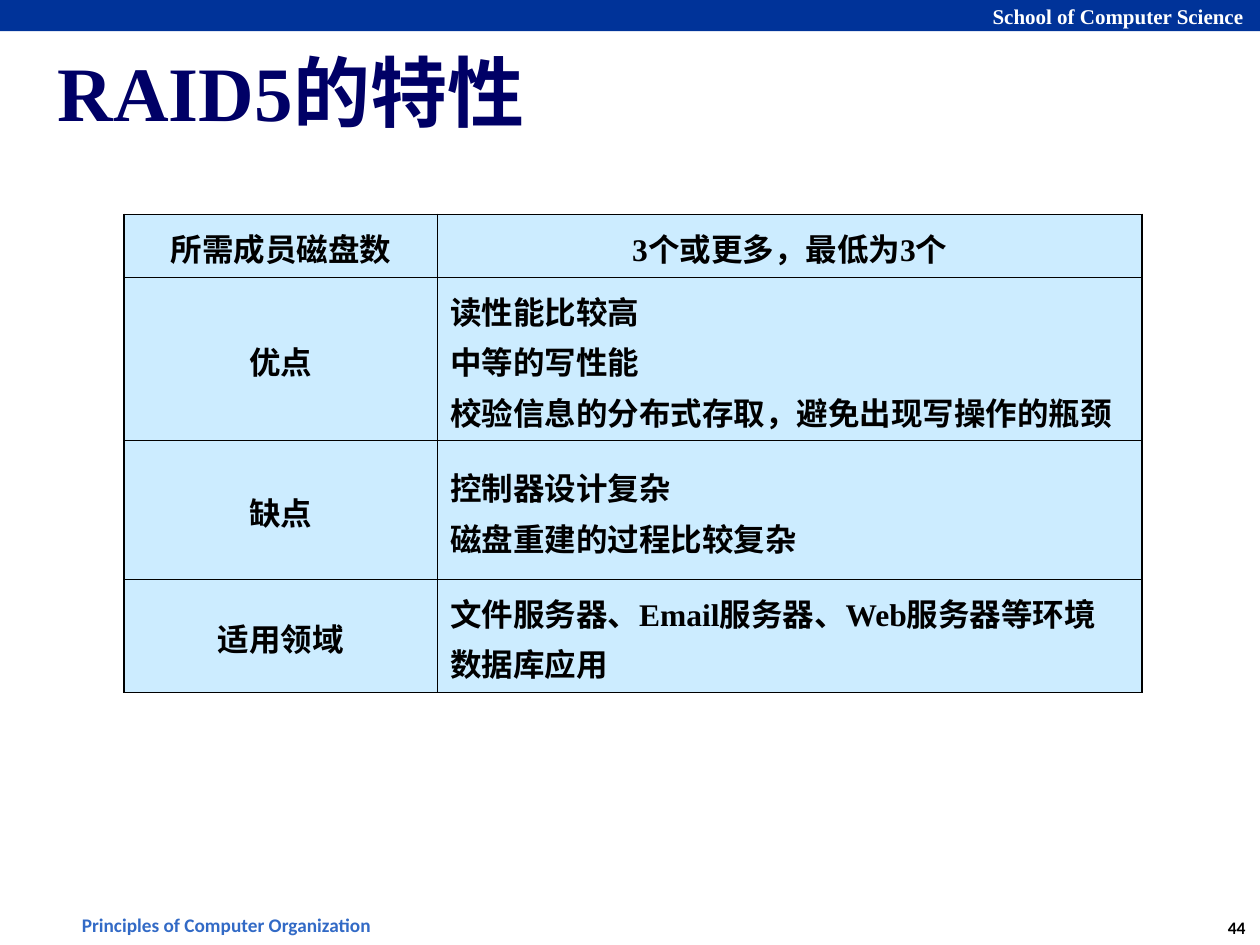
from lxml.etree import SubElement
from pptx import Presentation
from pptx.dml.color import RGBColor
from pptx.enum.shapes import MSO_SHAPE
from pptx.enum.text import MSO_ANCHOR as Anchor, MSO_AUTO_SIZE as AutoSize, PP_ALIGN as Align
from pptx.oxml.ns import qn
from pptx.util import Cm, Pt

BLACK = RGBColor(0x00, 0x00, 0x00)
WHITE = RGBColor(0xFF, 0xFF, 0xFF)
NAVY = RGBColor(0x00, 0x00, 0x66)
BAND_BLUE = RGBColor(0x00, 0x33, 0x99)
FOOTER_BLUE = RGBColor(0x32, 0x6A, 0xC6)
CELL_BLUE = RGBColor(0xCC, 0xEC, 0xFF)
SERIF, SANS = "Times New Roman", "Calibri"

COLUMN_WIDTHS = [6.32, 14.2]
ROW_HEIGHTS = [1.27, 3.29, 2.8, 2.28]
FEATURES = [
    ("所需成员磁盘数", ["3个或更多，最低为3个"]),
    ("优点", ["读性能比较高", "中等的写性能", "校验信息的分布式存取，避免出现写操作的瓶颈"]),
    ("缺点", ["控制器设计复杂", "磁盘重建的过程比较复杂"]),
    ("适用领域", ["文件服务器、Email服务器、Web服务器等环境", "数据库应用"]),
]


def style(paragraph, face, size, color, align=Align.LEFT):
    """Set the bold font and the alignment of a paragraph."""
    paragraph.alignment = align
    font = paragraph.font
    font.name, font.size, font.bold = face, Pt(size), True
    font.color.rgb = color


def add_label(slide, box, text, face, size, color, align=Align.LEFT):
    """Place one unwrapped line of text in a box given in centimetres."""
    frame = slide.shapes.add_textbox(*map(Cm, box)).text_frame
    frame.word_wrap = False
    frame.text = text
    style(frame.paragraphs[0], face, size, color, align)


def add_header(slide, left, top, width, height):
    """Draw the band with the school's name at its right end."""
    band = slide.shapes.add_shape(MSO_SHAPE.RECTANGLE, *map(Cm, (left, top, width, height)))
    band.shadow.inherit = False
    band.fill.solid()
    band.fill.fore_color.rgb = BAND_BLUE
    band.line.fill.background()
    add_label(slide, (left + width - 5.64, top - 0.06, 5.6, 0.76),
              "School of Computer Science", SERIF, 12, WHITE)


def add_footer(slide, left, top, width, height):
    """Place the course name on the left and the page number on the right."""
    add_label(slide, (left, top, 6.5, height),
              "Principles of Computer Organization", SANS, 11, FOOTER_BLUE)
    add_label(slide, (left + width - 0.94, top + 0.08, 0.94, height - 0.08),
              "44", SANS, 10, BLACK, Align.CENTER)


def set_title(slide, left, top, width, height):
    """Move the title placeholder and fill it."""
    title = slide.shapes.title
    title.left, title.top, title.width, title.height = map(Cm, (left, top, width, height))
    frame = title.text_frame
    frame.text = "RAID5的特性"
    frame.auto_size = AutoSize.NONE
    frame.vertical_anchor = Anchor.MIDDLE
    frame.margin_left = frame.margin_right = Cm(0.1)
    frame.margin_top = frame.margin_bottom = Cm(0.1)
    style(frame.paragraphs[0], SERIF, 44, NAVY)


def add_borders(cell):
    """Draw a thin black line on each side of a cell."""
    properties = cell._tc.get_or_add_tcPr()
    for position, side in enumerate(("a:lnL", "a:lnR", "a:lnT", "a:lnB")):
        line = SubElement(properties, qn(side), w=str(Pt(1)))
        fill = SubElement(line, qn("a:solidFill"))
        SubElement(fill, qn("a:srgbClr"), val=str(BLACK))
        properties.insert(position, line)


def fill_cell(cell, lines, align):
    """Write the lines of a cell and format it."""
    cell.fill.solid()
    cell.fill.fore_color.rgb = CELL_BLUE
    cell.vertical_anchor = Anchor.MIDDLE
    cell.text = "\n".join(lines)
    for paragraph in cell.text_frame.paragraphs:
        paragraph.line_spacing = 1.1
        style(paragraph, SERIF, 18, BLACK, align)
    add_borders(cell)


def add_features(slide, left, top):
    """Build the table of features from its top left corner."""
    box = (left, top, sum(COLUMN_WIDTHS), sum(ROW_HEIGHTS))
    table = slide.shapes.add_table(len(FEATURES), len(COLUMN_WIDTHS), *map(Cm, box)).table
    table.first_row = table.horz_banding = False
    for column, width in zip(table.columns, COLUMN_WIDTHS):
        column.width = Cm(width)
    for index, (feature, details) in enumerate(FEATURES):
        table.rows[index].height = Cm(ROW_HEIGHTS[index])
        fill_cell(table.cell(index, 0), [feature], Align.CENTER)
        fill_cell(table.cell(index, 1), details, Align.LEFT if index else Align.CENTER)


def main():
    """Build and save the slide."""
    deck = Presentation()
    deck.slide_width, deck.slide_height = Cm(25.4), Cm(19.05)
    slide = deck.slides.add_slide(deck.slide_layouts[5])
    add_header(slide, 0, 0, 25.4, 0.63)
    add_footer(slide, 1.4, 18.29, 24, 0.74)
    set_title(slide, 1.06, 0.7, 23.3, 2.26)
    add_features(slide, 2.5, 4.32)
    deck.save("out.pptx")


if __name__ == "__main__":
    main()
